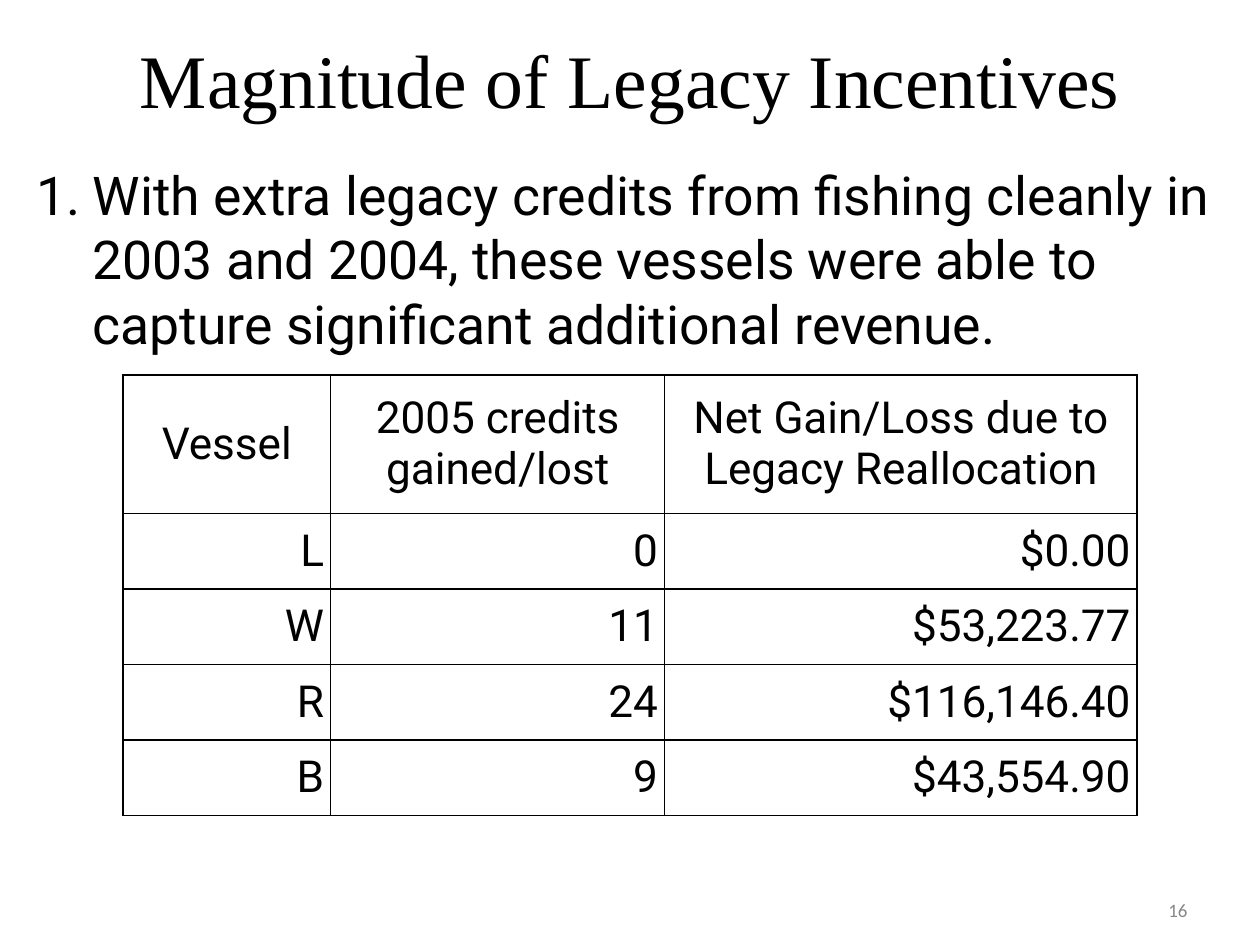
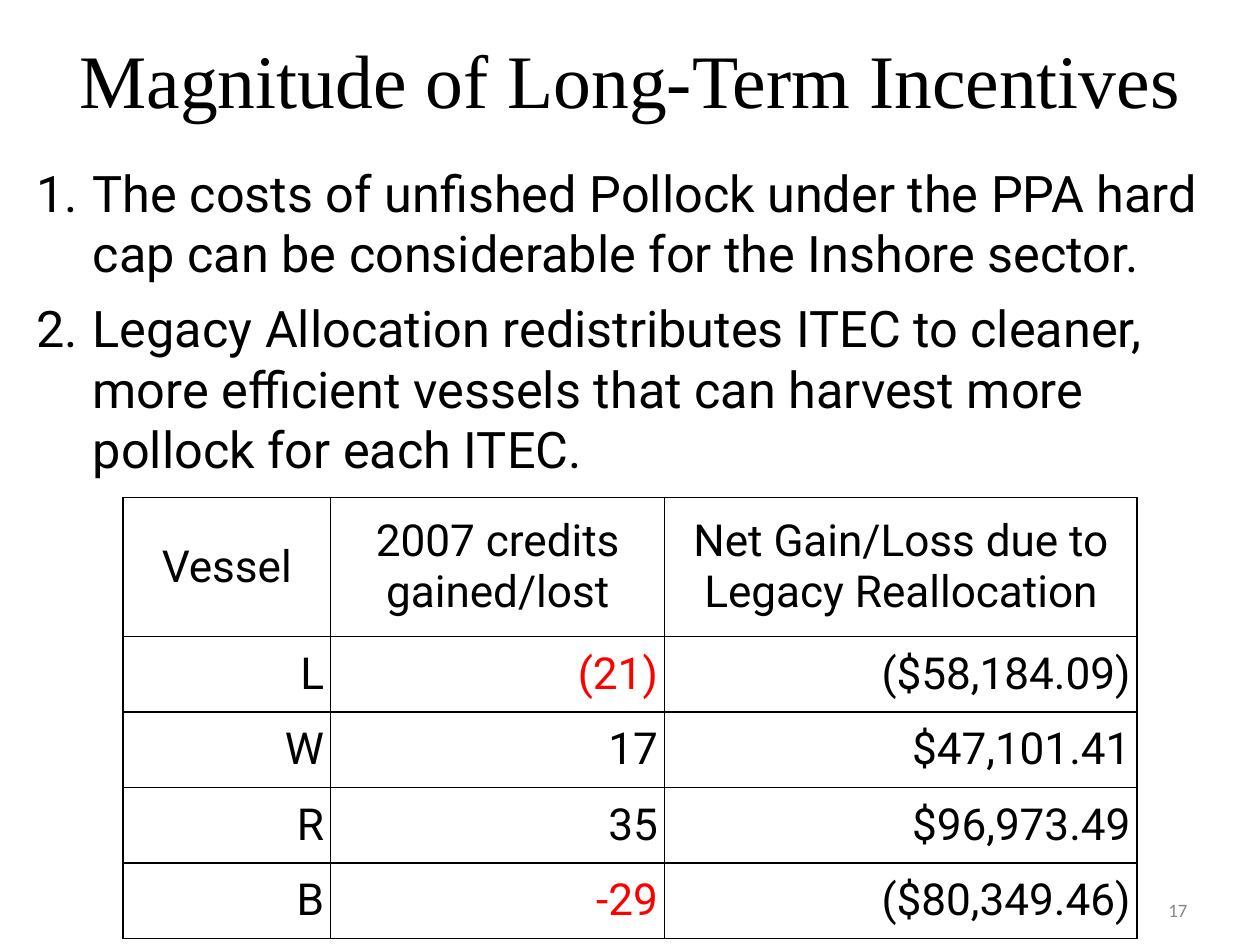
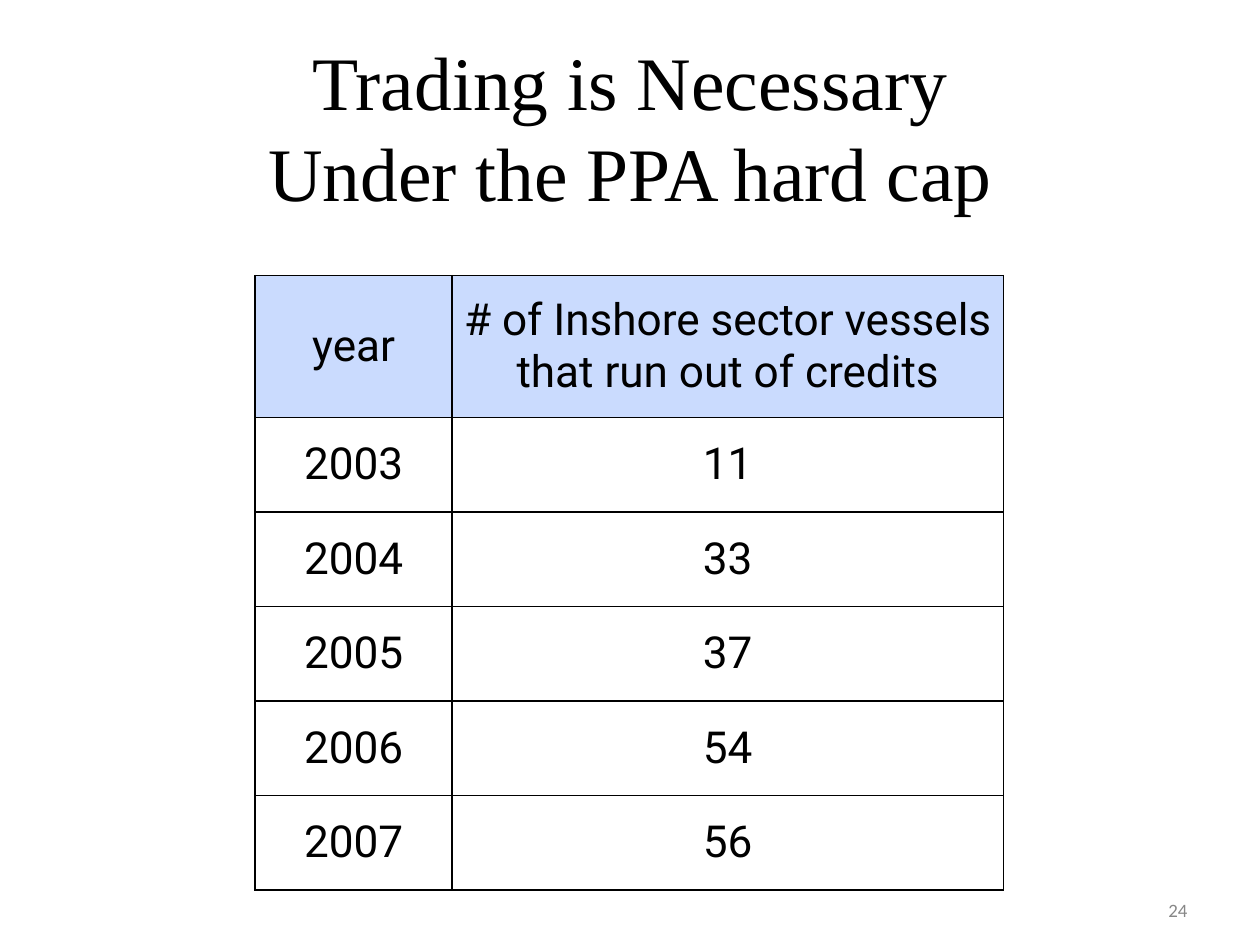
from lxml.etree import SubElement
from pptx import Presentation
from pptx.dml.color import RGBColor
from pptx.enum.text import MSO_ANCHOR, PP_ALIGN
from pptx.oxml import parse_xml
from pptx.oxml.ns import nsdecls, qn
from pptx.util import Emu, Inches, Pt

WIDTH, HEIGHT = Emu(10160000), Emu(7621588)
COLUMNS, ROWS = 40, 30
COLORS = {"ink": "000000", "loss": "FF0000", "number": "878787", "header": "CADBFE"}
TITLE_FONT, BODY_FONT, NUMBER_FONT = "Times New Roman", "Roboto", "Calibri"
CREDIT_COLUMN = 1


def across(columns):
    return round(WIDTH * columns / COLUMNS)


def down(rows):
    return round(HEIGHT * rows / ROWS)


def place(box):
    left, top, width, height = box
    return across(left), down(top), across(width), down(height)


def add_span(para, text, size, font, color="ink"):
    span = para.add_run()
    span.text = text
    span.font.size = Pt(size)
    span.font.name = font
    span.font.bold = False
    span.font.color.rgb = RGBColor.from_string(COLORS[color])


def set_insets(frame, horizontal, vertical):
    frame.margin_left = frame.margin_right = Inches(horizontal)
    frame.margin_top = frame.margin_bottom = Inches(vertical)


def add_title(page, lines, box):
    title = page.shapes.title
    title.left, title.top, title.width, title.height = place(box)
    frame = title.text_frame
    frame.word_wrap = True
    frame.vertical_anchor = MSO_ANCHOR.MIDDLE
    set_insets(frame, 0.04, 0.04)
    para = frame.paragraphs[0]
    para.alignment = PP_ALIGN.CENTER
    for index, line in enumerate(lines):
        if index:
            para.add_line_break()
        add_span(para, line, 48, TITLE_FONT)


def add_page_number(page, number, box):
    frame = page.shapes.add_textbox(*place(box)).text_frame
    frame.word_wrap = False
    frame.vertical_anchor = MSO_ANCHOR.MIDDLE
    set_insets(frame, 0.1, 0.05)
    frame.margin_left = 0
    para = frame.paragraphs[0]
    para.alignment = PP_ALIGN.RIGHT
    add_span(para, str(number), 12, NUMBER_FONT, "number")


def number_paragraph(para):
    properties = para._p.get_or_add_pPr()
    properties.set("marL", str(Inches(0.5)))
    properties.set("indent", str(-Inches(0.5)))
    bullet_color = SubElement(properties, qn("a:buClr"))
    SubElement(bullet_color, qn("a:srgbClr")).set("val", COLORS["ink"])
    SubElement(properties, qn("a:buAutoNum")).set("type", "arabicPeriod")


def add_numbered_points(page, points, size, box):
    frame = page.shapes.add_textbox(*place(box)).text_frame
    frame.word_wrap = True
    set_insets(frame, 0.04, 0.04)
    for index, point in enumerate(points):
        para = frame.add_paragraph() if index else frame.paragraphs[0]
        number_paragraph(para)
        if index:
            para.space_before = Pt(9)
        add_span(para, point, size, BODY_FONT)


def outline_cell(cell):
    properties = cell._tc.get_or_add_tcPr()
    for index, side in enumerate(("lnL", "lnR", "lnT", "lnB")):
        properties.insert(index, parse_xml(
            f'<a:{side} {nsdecls("a")} w="{Pt(0.96)}"><a:solidFill>'
            f'<a:srgbClr val="{COLORS["ink"]}"/></a:solidFill></a:{side}>'))


def fill_cell(cell, text, alignment, inset, color="ink", background=None):
    if background:
        cell.fill.solid()
        cell.fill.fore_color.rgb = RGBColor.from_string(COLORS[background])
    else:
        cell.fill.background()
    outline_cell(cell)
    cell.vertical_anchor = MSO_ANCHOR.MIDDLE
    set_insets(cell, inset, 0.05)
    para = cell.text_frame.paragraphs[0]
    para.alignment = alignment
    add_span(para, text, 28, BODY_FONT, color)


def add_grid(page, corner, widths, heights):
    box = (*corner, sum(widths), sum(heights))
    table = page.shapes.add_table(len(heights), len(widths), *place(box)).table
    table.first_row = table.horz_banding = False
    for column, width in zip(table.columns, widths):
        column.width = across(width)
    for row, height in zip(table.rows, heights):
        row.height = down(height)
    return table


def add_vessel_table(page, year, vessels, corner):
    header = ("Vessel", f"{year} credits gained/lost",
              "Net Gain/Loss due to Legacy Reallocation")
    table = add_grid(page, corner, (6.6, 10.6, 15), (4.4,) + (2.4,) * len(vessels))
    for row, values in enumerate((header, *vessels)):
        for column, text in enumerate(values):
            is_loss = row and column == CREDIT_COLUMN and not text.isdigit()
            fill_cell(table.cell(row, column), text,
                      PP_ALIGN.RIGHT if row else PP_ALIGN.CENTER, 0.06,
                      "loss" if is_loss else "ink")


def add_year_table(page, years, corner):
    header = ("year", "# of Inshore sector vessels that run out of credits")
    table = add_grid(page, corner, (6.25, 17.5), (4.5,) + (3,) * len(years))
    for row, values in enumerate((header, *years)):
        for column, text in enumerate(values):
            fill_cell(table.cell(row, column), text, PP_ALIGN.CENTER,
                      0.04 if row else 0.03, background=None if row else "header")


def add_page(deck, number, title_lines):
    page = deck.slides.add_slide(deck.slide_layouts[5])
    add_page_number(page, number, (37.05, 28.4, 1, 1))
    add_title(page, title_lines, (1, 1, 38, 3 * len(title_lines)))
    return page


def add_vessel_page(deck, number, title, points, size, year, vessels, table_top):
    page = add_page(deck, number, [title])
    add_numbered_points(page, points, size, (1, 5, 38, 24))
    add_vessel_table(page, year, vessels, (3.9, table_top))


def add_year_page(deck, number, title_lines, years):
    page = add_page(deck, number, title_lines)
    add_year_table(page, years, (8.1, 8.75))


def main():
    deck = Presentation()
    deck.slide_width, deck.slide_height = WIDTH, HEIGHT
    add_vessel_page(
        deck, 16, "Magnitude of Legacy Incentives",
        ["With extra legacy credits from fishing cleanly in 2003 and 2004, these "
         "vessels were able to capture significant additional revenue."],
        34, 2005,
        [("L", "0", "$0.00"), ("W", "11", "$53,223.77"),
         ("R", "24", "$116,146.40"), ("B", "9", "$43,554.90")], 11.9)
    add_vessel_page(
        deck, 17, "Magnitude of Long-Term Incentives",
        ["The costs of unfished Pollock under the PPA hard cap can be considerable "
         "for the Inshore sector.",
         "Legacy Allocation redistributes ITEC to cleaner, more efficient vessels "
         "that can harvest more pollock for each ITEC."],
        32, 2007,
        [("L", "(21)", "($58,184.09)"), ("W", "17", "$47,101.41"),
         ("R", "35", "$96,973.49"), ("B", "-29", "($80,349.46)")], 15.8)
    add_year_page(
        deck, 24, ["Trading is Necessary", "Under the PPA hard cap"],
        [("2003", "11"), ("2004", "33"), ("2005", "37"), ("2006", "54"), ("2007", "56")])
    deck.save("out.pptx")


if __name__ == "__main__":
    main()
